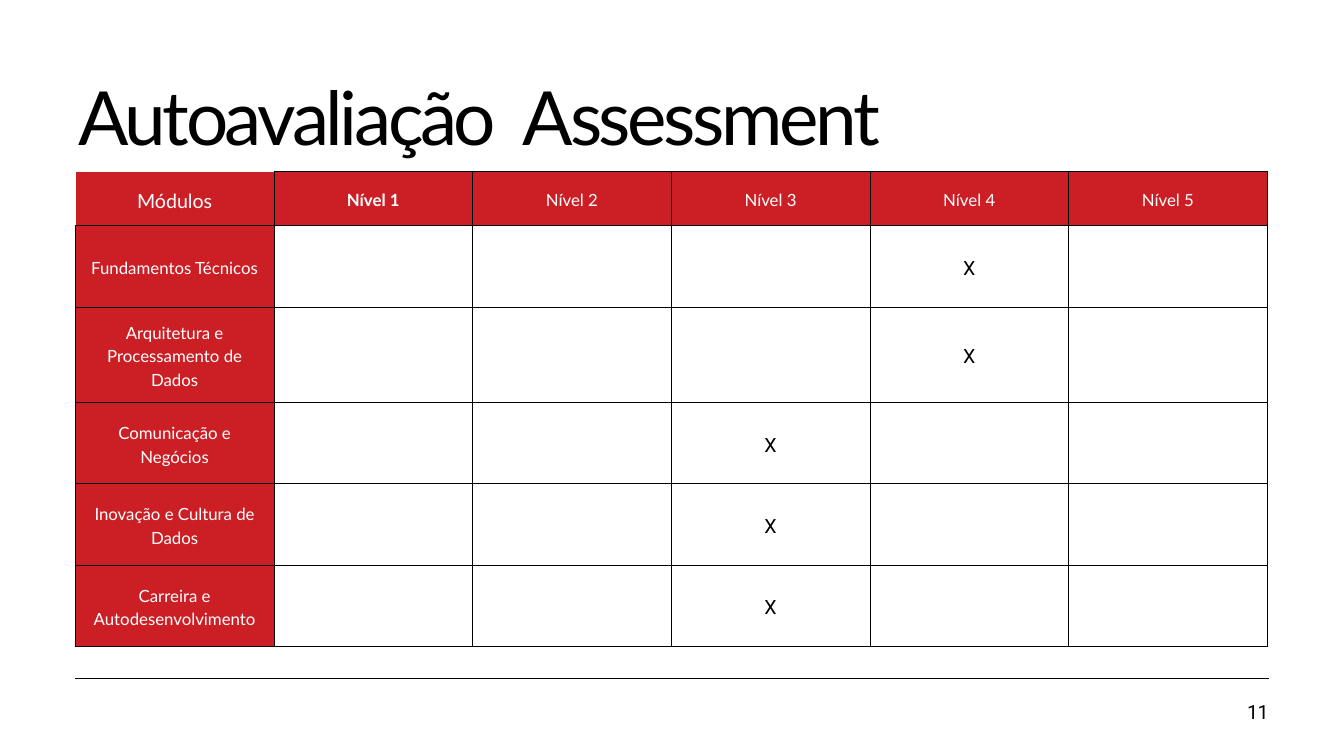
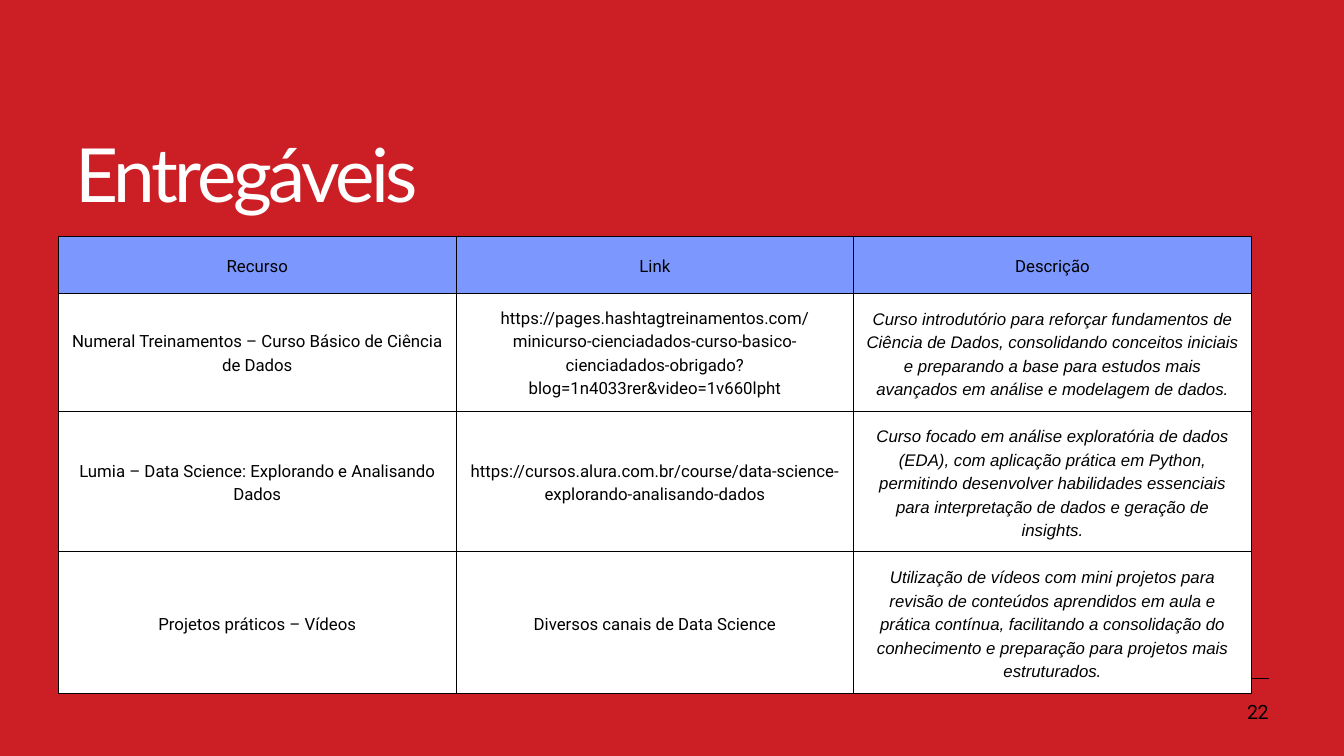
import pptx
import pptx.dml.color
import pptx.enum.shapes
import pptx.enum.text
import pptx.oxml.ns
import pptx.util
from lxml import etree
from pptx.util import Inches, Pt

RED, BLUE, WHITE, BLACK = "CC1F25", "7C98FF", "FFFFFF", "000000"
ALIGN = pptx.enum.text.PP_ALIGN
qn = pptx.oxml.ns.qn


def paint(target, color):
    """Set a solid colour on a fill, or the colour of a font."""
    rgb = pptx.dml.color.RGBColor.from_string(color)
    if hasattr(target, "solid"):
        target.solid()
        target.fore_color.rgb = rgb
    else:
        target.color.rgb = rgb


def style(para, face, size, color, lead, align):
    para.alignment = align
    para.line_spacing = Pt(lead)
    para.font.name = face
    para.font.size = Pt(size)
    paint(para.font, color)


levels = ["Módulos"] + [f"Nível {n}" for n in range(1, 6)]
scores = [
    ("Fundamentos Técnicos", 4),
    ("Arquitetura e Processamento de Dados", 4),
    ("Comunicação e Negócios", 3),
    ("Inovação e Cultura de Dados", 3),
    ("Carreira e Autodesenvolvimento", 3),
]
grid = [levels] + [[name] + ["X" if n == mark else "" for n in range(1, 6)]
                   for name, mark in scores]
items = [
    ["Recurso", "Link", "Descrição"],
    ["Numeral Treinamentos – Curso Básico de Ciência de Dados",
     "https://pages.hashtagtreinamentos.com/minicurso-cienciadados-curso-basico-"
     "cienciadados-obrigado?blog=1n4033rer&video=1v660lpht",
     "Curso introdutório para reforçar fundamentos de Ciência de Dados, consolidando "
     "conceitos iniciais e preparando a base para estudos mais avançados em análise "
     "e modelagem de dados."],
    ["Lumia – Data Science: Explorando e Analisando Dados",
     "https://cursos.alura.com.br/course/data-science-explorando-analisando-dados",
     "Curso focado em análise exploratória de dados (EDA), com aplicação prática em "
     "Python, permitindo desenvolver habilidades essenciais para interpretação de "
     "dados e geração de insights."],
    ["Projetos práticos – Vídeos",
     "Diversos canais de Data Science",
     "Utilização de vídeos com mini projetos para revisão de conteúdos aprendidos em "
     "aula e prática contínua, facilitando a consolidação do conhecimento e preparação "
     "para projetos mais estruturados."],
]
pages = [
    dict(title="Autoavaliação Assessment", ink=BLACK, back=WHITE, num="11",
         head=(1.17, 1.28, 16.96), spot=(1.12, 2.55, 17.74), pad=0.15,
         rows=[0.81, 1.21, 1.42, 1.21, 1.21, 1.21], cells=grid),
    dict(title="Entregáveis", ink=WHITE, back=RED, num="22",
         head=(1.12, 2.13, 12.31), spot=(0.87, 3.51, 17.75), pad=0.17,
         rows=[0.85, 1.76, 1.76, 2.11], cells=items),
]

deck = pptx.Presentation()
deck.slide_width, deck.slide_height = Inches(20), Inches(11.25)

for page in pages:
    slide = deck.slides.add_slide(deck.slide_layouts[5])
    paint(slide.background.fill, page["back"])

    # Title and page number share zero margins and tight tracking
    title = slide.shapes.title
    title.left, title.top, title.width = map(Inches, page["head"])
    title.height = Inches(1.17)
    number = slide.shapes.add_textbox(Inches(16.38), Inches(10.5), Inches(2.5), Inches(0.29))
    for box, words, track in (title, page["title"], -370), (number, page["num"], -50):
        frame = box.text_frame
        frame.word_wrap = True
        frame.auto_size = pptx.enum.text.MSO_AUTO_SIZE.NONE
        frame.vertical_anchor = pptx.enum.text.MSO_ANCHOR.TOP
        frame.margin_left = frame.margin_right = frame.margin_top = frame.margin_bottom = 0
        for part in filter(None, words.partition(" ")):
            run = frame.paragraphs[0].add_run()
            run.text = part
            # The gap between title words is set wide
            run._r.get_or_add_rPr().set("spc", "800" if part == " " else str(track))
    style(title.text_frame.paragraphs[0], "Lato", 80, page["ink"], 80, ALIGN.LEFT)
    style(number.text_frame.paragraphs[0], "Roboto", 21, BLACK, 18.9, ALIGN.RIGHT)

    rule = slide.shapes.add_connector(pptx.enum.shapes.MSO_CONNECTOR.STRAIGHT,
                                      Inches(1.12), Inches(10.1), Inches(18.88), Inches(10.1))
    paint(rule.line.fill, BLACK)
    rule.line.width = Pt(0.75)
    etree.SubElement(rule._element.spPr, qn("a:effectLst"))

    cells, rows = page["cells"], page["rows"]
    table = slide.shapes.add_table(len(cells), len(cells[0]), *map(Inches, page["spot"]),
                                   Inches(sum(rows))).table
    table.first_row = table.horz_banding = False
    for r, tall in enumerate(rows):
        table.rows[r].height = Inches(tall)
        for c, words in enumerate(cells[r]):
            cell = table.cell(r, c)
            corner = cells is grid and r == c == 0
            for side in "LRTB":
                edge = etree.SubElement(cell._tc.get_or_add_tcPr(), qn(f"a:ln{side}"), w="9525")
                fill = etree.SubElement(edge, qn("a:solidFill"))
                etree.SubElement(fill, qn("a:srgbClr"),
                                 val=WHITE if corner and side in "LT" else BLACK)
            cell.margin_left = cell.margin_right = Inches(page["pad"])
            cell.margin_top = cell.margin_bottom = Inches(page["pad"])
            cell.vertical_anchor = pptx.enum.text.MSO_ANCHOR.MIDDLE

            face, size, ink, back = "Roboto", 18, BLACK, WHITE
            if cells is grid:
                label = r == 0 or c == 0
                if label:
                    face, ink, back = "Lato", WHITE, RED
                if corner or not label:
                    size = 21
            elif r == 0:
                back = BLUE
            elif c == 2:
                face = "Arial"
            paint(cell.fill, back)
            if words:
                cell.text = words
                para = cell.text_frame.paragraphs[0]
                style(para, face, size, ink, size * 1.4, ALIGN.CENTER)
                para.font.bold = words == "Nível 1"
                para.font.italic = face == "Arial"

deck.save("out.pptx")
